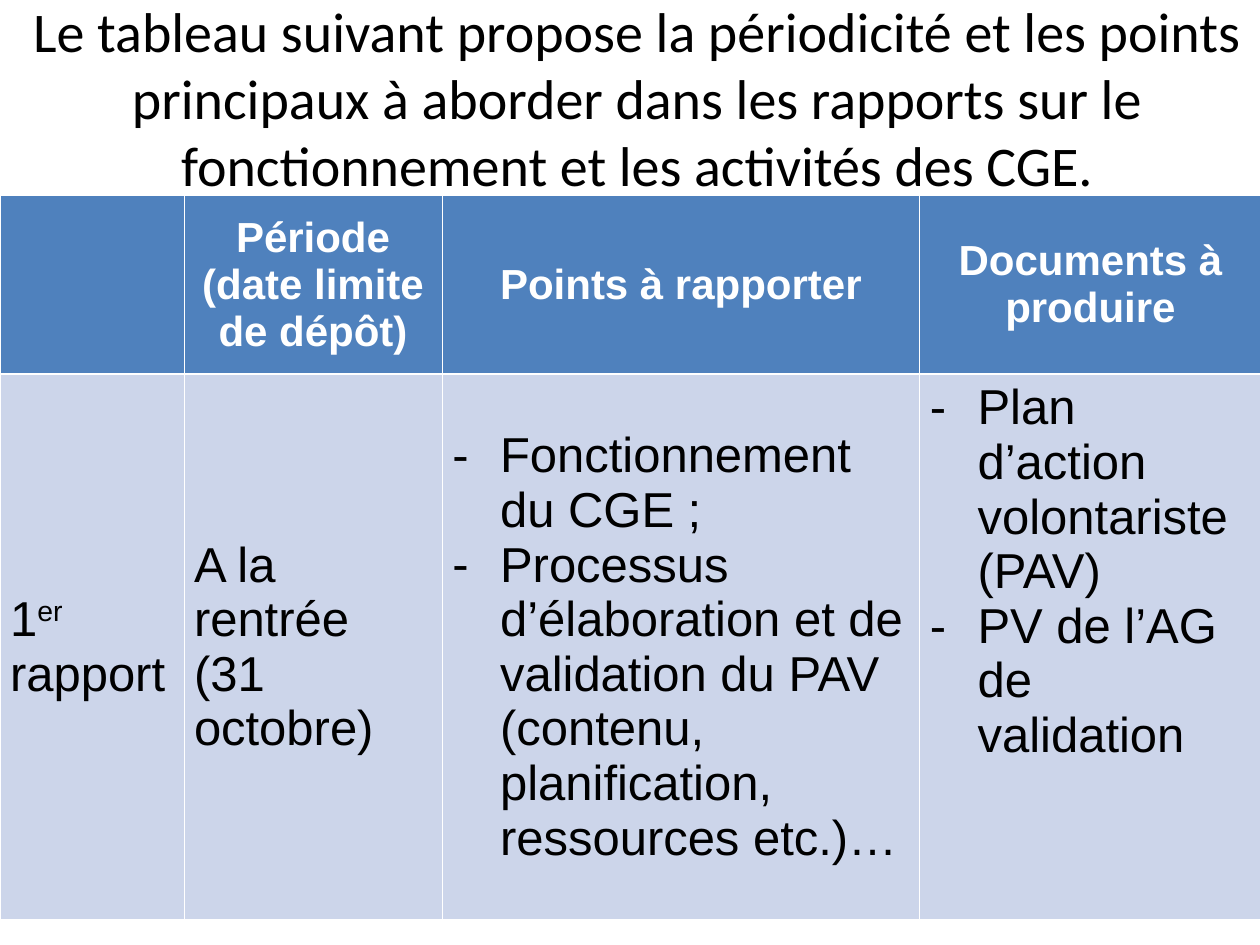
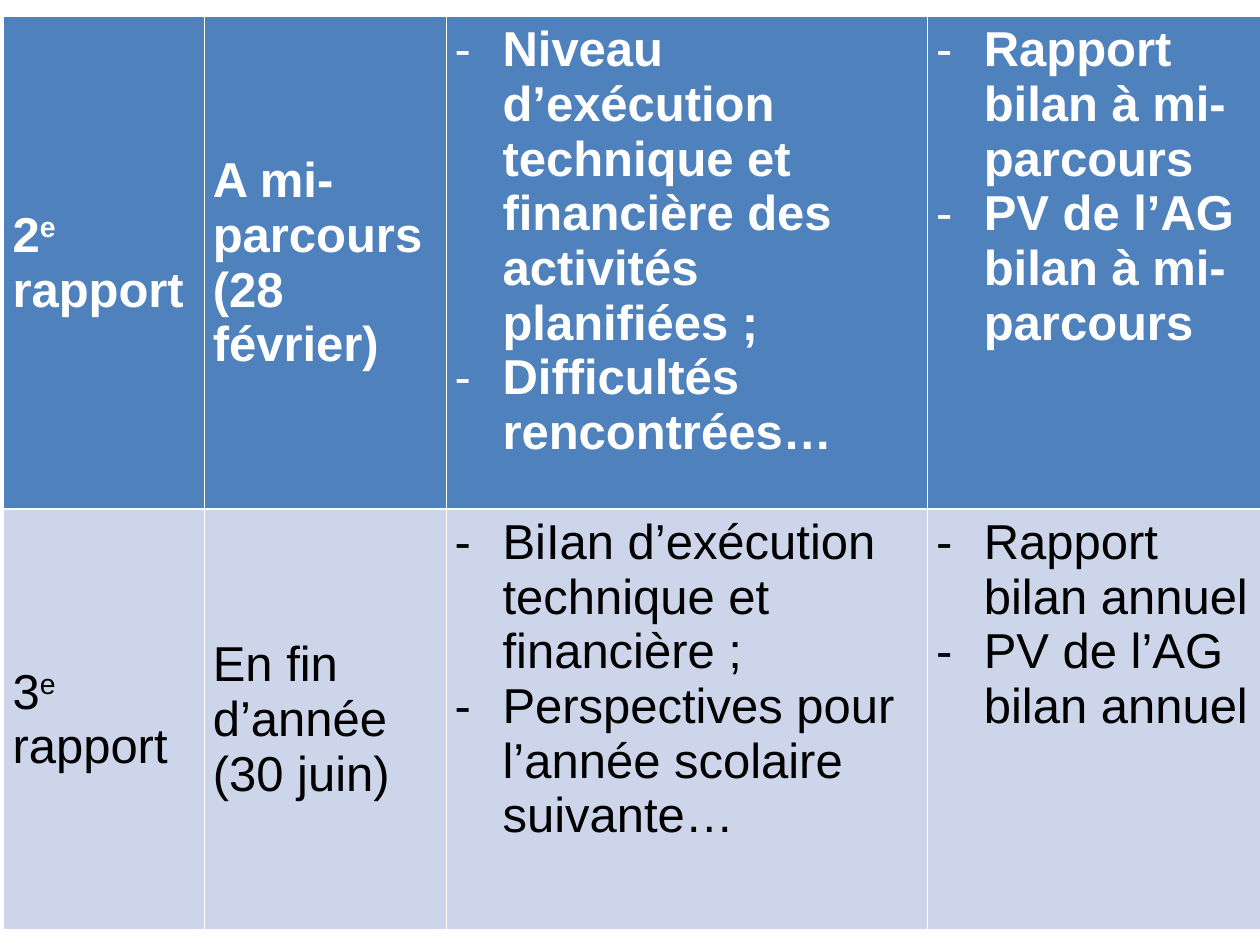
from lxml import etree
from pptx import Presentation
from pptx.dml.color import RGBColor
from pptx.enum.text import MSO_ANCHOR, MSO_AUTO_SIZE, PP_ALIGN
from pptx.oxml.ns import qn
from pptx.util import Inches, Pt

LEFT, CENTER = PP_ALIGN.LEFT, PP_ALIGN.CENTER
TOP, MIDDLE = MSO_ANCHOR.TOP, MSO_ANCHOR.MIDDLE
NO_AUTOFIT = MSO_AUTO_SIZE.NONE

COLORS = {"blue": "4F81BD", "pale": "CCD5EA", "white": "FFFFFF", "black": "000000"}
TITLE_FONT, TABLE_FONT = "Calibri", "Arial"
THIN, THICK = 0.45, 1.47
BULLET_INDENT = 0.38

HEADER = {"fill": "blue", "color": "white", "bold": True}
BODY = {"fill": "pale", "color": "black", "bold": False}

SLIDES = [
    {
        "title": "Le tableau suivant propose la périodicité et les points principaux à aborder "
                 "dans les rapports sur le fonctionnement et les activités des CGE.",
        "at": (0, 1.55),
        "columns": [1.46, 2.05, 3.79, 2.71],
        "heights": [1.42, 4.33],
        "side_margin": 0.08,
        "rows": [
            {"size": 24, "align": CENTER, "bulleted": (), "top": (), "cells": [
                [],
                ["Période", "(date limite de dépôt)"],
                ["Points à rapporter"],
                ["Documents à produire"],
            ]},
            {"size": 28, "align": LEFT, "bulleted": (2, 3), "top": (3,), "cells": [
                ["1^er^ rapport"],
                ["A la rentrée", "(31 octobre)"],
                ["Fonctionnement du CGE ;",
                 "Processus d’élaboration et de validation du PAV "
                 "(contenu, planification, ressources etc.)…"],
                ["Plan d’action volontariste (PAV)", "PV de l’AG de validation"],
            ]},
        ],
    },
    {
        "title": None,
        "at": (0.03, 0.13),
        "columns": [1.59, 1.92, 3.82, 2.64],
        "heights": [3.91, 3.34],
        "side_margin": 0.07,
        "rows": [
            {"size": 28, "align": LEFT, "bulleted": (2, 3), "top": (2, 3), "cells": [
                ["2^e^ rapport"],
                ["A mi-parcours", "(28 février)"],
                ["Niveau d’exécution technique et financière des activités planifiées ;",
                 "Difficultés rencontrées…"],
                ["Rapport bilan à mi-parcours", "PV de l’AG bilan à mi-parcours"],
            ]},
            {"size": 28, "align": LEFT, "bulleted": (2, 3), "top": (2, 3), "cells": [
                ["3^e^ rapport"],
                ["En fin d’année", "(30 juin)"],
                ["BiIan d’exécution technique et financière ;",
                 "Perspectives pour l’année scolaire suivante…"],
                ["Rapport bilan annuel", "PV de l’AG bilan annuel"],
            ]},
        ],
    },
]


def rgb(color):
    return RGBColor.from_string(COLORS[color])


def add_solid(parent, tag, color):
    holder = etree.SubElement(parent, qn(tag))
    etree.SubElement(holder, qn("a:srgbClr"), val=COLORS[color])
    return holder


def add_bullet(paragraph, color):
    properties = paragraph._p.get_or_add_pPr()
    indent = Inches(BULLET_INDENT)
    properties.set("marL", str(indent))
    properties.set("indent", str(-indent))
    add_solid(properties, "a:buClr", color)
    etree.SubElement(properties, qn("a:buFont"), typeface=TABLE_FONT)
    etree.SubElement(properties, qn("a:buChar"), char="-")


def write(frame, texts, *, size, color, font=TABLE_FONT, bold=False, align=LEFT, bulleted=False):
    frame.word_wrap = True
    for index, text in enumerate(texts):
        paragraph = frame.add_paragraph() if index else frame.paragraphs[0]
        paragraph.alignment = align
        if bulleted:
            add_bullet(paragraph, color)
        for position, part in enumerate(text.split("^")):
            run = paragraph.add_run()
            run.text = part
            run.font.name = font
            run.font.size = Pt(size)
            run.font.bold = bold
            run.font.color.rgb = rgb(color)
            if position % 2:
                run.font._element.set("baseline", "30000")


def add_borders(cell, top, bottom):
    properties = cell._tc.get_or_add_tcPr()
    for side, width in (("L", THIN), ("R", THIN), ("T", top), ("B", bottom)):
        line = etree.SubElement(properties, qn(f"a:ln{side}"), w=str(Pt(width)))
        fill = etree.SubElement(line, qn("a:solidFill"))
        etree.SubElement(fill, qn("a:srgbClr"), val=COLORS["white"])


def add_title(slide, text):
    title = slide.shapes.title
    title.left, title.top = Inches(0.12), Inches(0)
    title.width, title.height = Inches(9.88), Inches(1.54)
    frame = title.text_frame
    frame.auto_size = NO_AUTOFIT
    frame.vertical_anchor = MIDDLE
    write(frame, [text], size=32, color="black", font=TITLE_FONT, align=CENTER)


def add_report_table(slide, content):
    columns, heights = content["columns"], content["heights"]
    left, top = content["at"]
    table = slide.shapes.add_table(
        len(heights), len(columns), Inches(left), Inches(top),
        Inches(sum(columns)), Inches(sum(heights))).table
    table.first_row = table.horz_banding = False
    for column, width in zip(table.columns, columns):
        column.width = Inches(width)
    for index, (row, height) in enumerate(zip(content["rows"], heights)):
        table.rows[index].height = Inches(height)
        style = BODY if index else HEADER
        for column, texts in enumerate(row["cells"]):
            cell = table.cell(index, column)
            add_borders(cell, *((THICK, THIN) if index else (THIN, THICK)))
            cell.fill.solid()
            cell.fill.fore_color.rgb = rgb(style["fill"])
            cell.margin_left = cell.margin_right = Inches(content["side_margin"])
            cell.margin_top = cell.margin_bottom = Inches(0.05)
            cell.vertical_anchor = TOP if column in row["top"] else MIDDLE
            write(cell.text_frame, texts, size=row["size"], color=style["color"],
                  bold=style["bold"], align=row["align"], bulleted=column in row["bulleted"])


def main():
    deck = Presentation()
    deck.slide_width, deck.slide_height = Inches(10), Inches(7.5)
    title_only, blank = deck.slide_layouts[5], deck.slide_layouts[6]
    for content in SLIDES:
        slide = deck.slides.add_slide(title_only if content["title"] else blank)
        if content["title"]:
            add_title(slide, content["title"])
        add_report_table(slide, content)
    deck.save("out.pptx")


if __name__ == "__main__":
    main()
